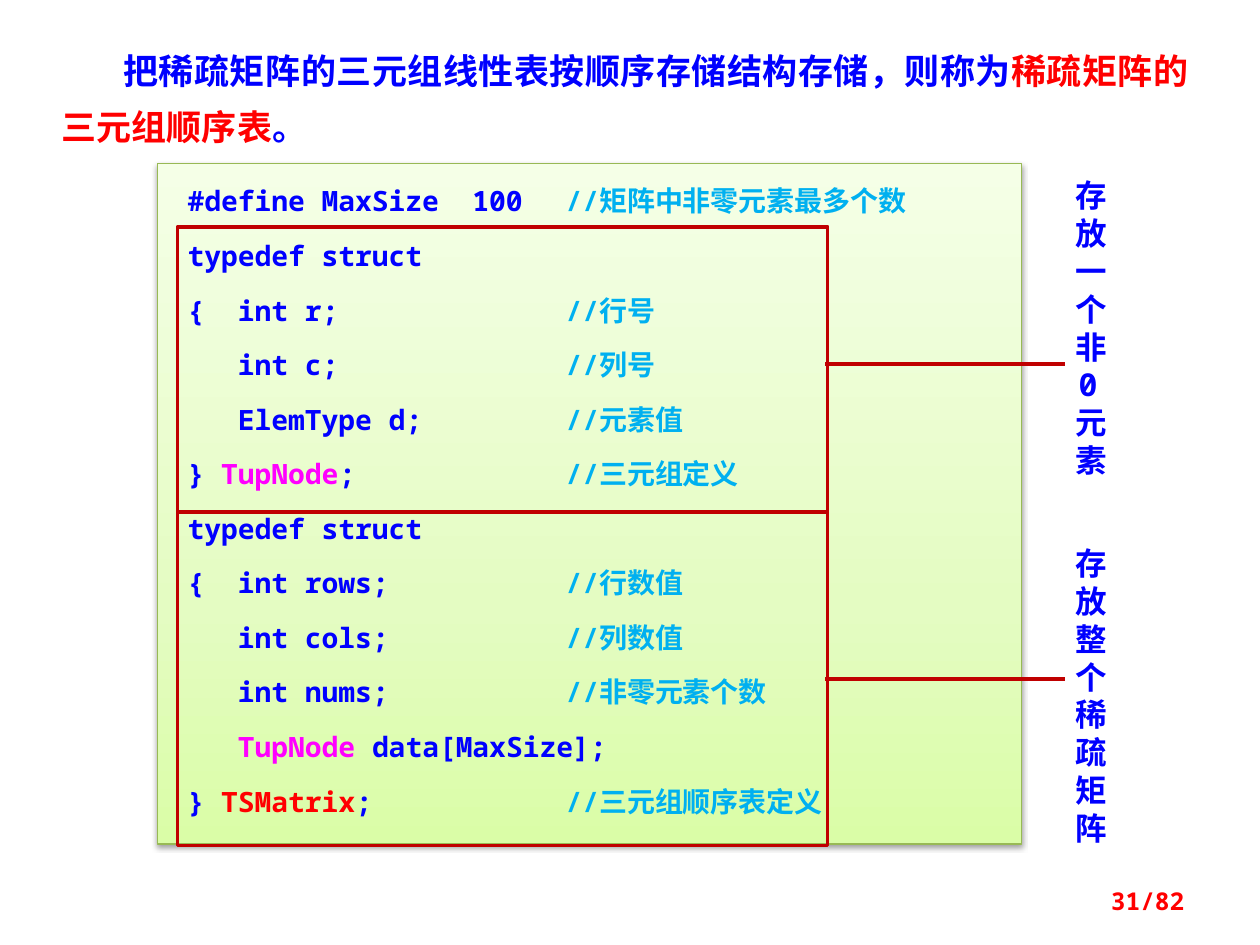
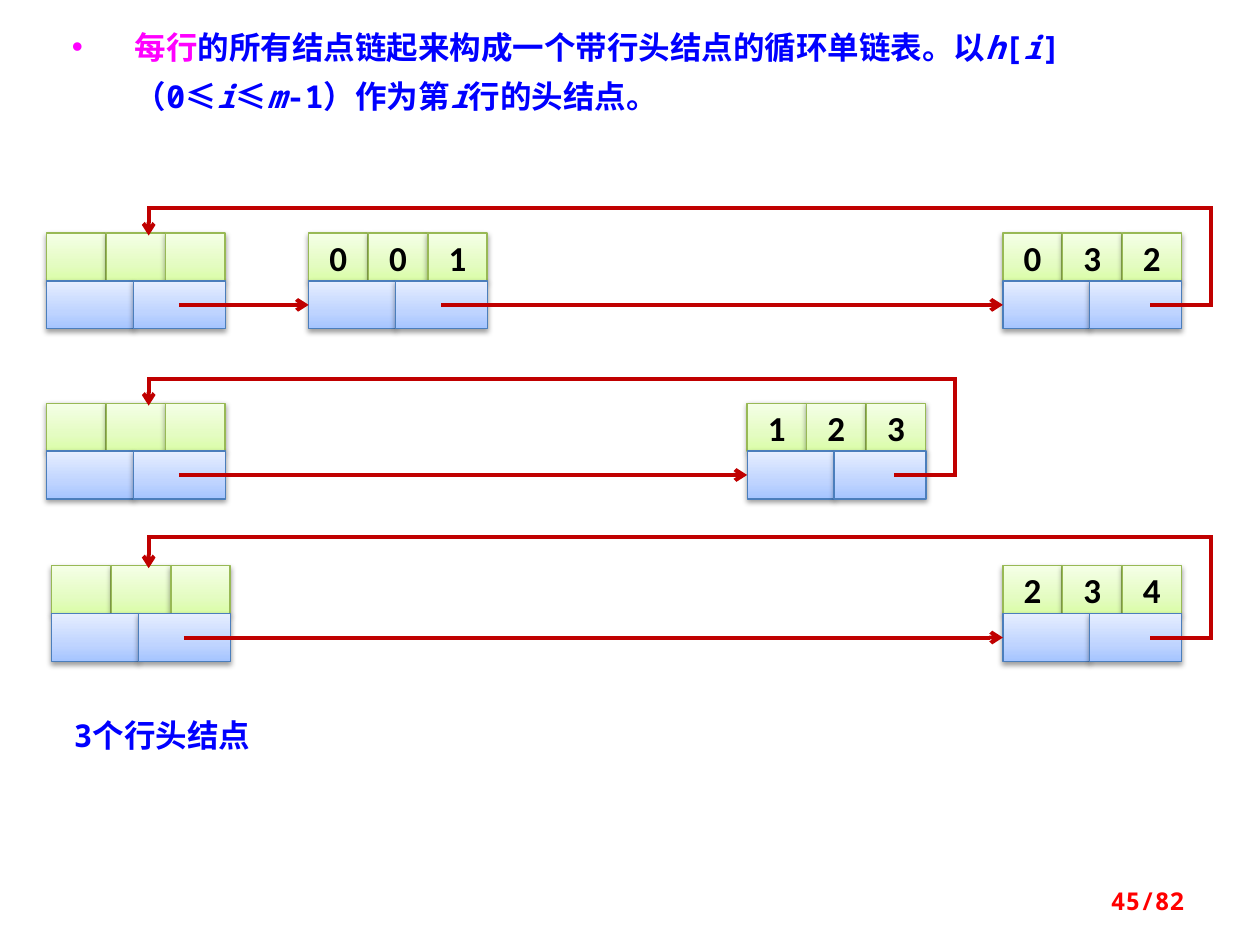
"""Build two slides on storing sparse matrices: triple table and row lists."""
import copy

import pptx
import pptx.dml.color
import pptx.enum.shapes
import pptx.enum.text
import pptx.oxml.ns
import pptx.util
from lxml import etree

Inches = pptx.util.Inches
Pt = pptx.util.Pt
RGBColor = pptx.dml.color.RGBColor
Align = pptx.enum.text.PP_ALIGN
Anchor = pptx.enum.text.MSO_ANCHOR
AutoSize = pptx.enum.text.MSO_AUTO_SIZE
RECTANGLE = pptx.enum.shapes.MSO_SHAPE.RECTANGLE
STRAIGHT = pptx.enum.shapes.MSO_CONNECTOR.STRAIGHT
qn = pptx.oxml.ns.qn

BLUE = RGBColor(0x00, 0x00, 0xFF)
RED = RGBColor(0xFF, 0x00, 0x00)
MAGENTA = RGBColor(0xFF, 0x00, 0xFF)
SKY = RGBColor(0x00, 0xB0, 0xF0)
BLACK = RGBColor(0x00, 0x00, 0x00)
CRIMSON = RGBColor(0xC0, 0x00, 0x00)
GREEN_EDGE = RGBColor(0x98, 0xB9, 0x55)
BLUE_EDGE = RGBColor(0x4B, 0x7E, 0xBC)
GREEN_STOPS = (RGBColor(0xDA, 0xFD, 0xA7), RGBColor(0xE4, 0xFC, 0xC2), RGBColor(0xF5, 0xFF, 0xE7))
BLUE_STOPS = (RGBColor(0xA4, 0xC4, 0xFF), RGBColor(0xBF, 0xD4, 0xFF), RGBColor(0xE6, 0xEE, 0xFF))
STOP_POSITIONS = (0, 0.35, 1)

MONO = "Noto Sans Mono"
SERIF = "Times New Roman"
CJK = "Noto Sans CJK SC"
CJK_RED = "Noto Sans CJK JP"

TRIPLE_WIDTH = 0.47
NODE_WIDTH = 1.42
DATA_WIDTH = 0.69
CELL_HEIGHT = 0.38
LINK_DROP = 0.57

CODE_LINES = [
    ([("#define MaxSize  100", BLUE)], "//矩阵中非零元素最多个数"),
    ([("typedef struct", BLUE)], ""),
    ([("{  int r;", BLUE)], "//行号"),
    ([("   int c;", BLUE)], "//列号"),
    ([("   ElemType d;", BLUE)], "//元素值"),
    ([("} ", BLUE), ("TupNode", MAGENTA), (";", BLUE)], "//三元组定义"),
    ([("typedef struct", BLUE)], ""),
    ([("{  int rows;", BLUE)], "//行数值"),
    ([("   int cols;", BLUE)], "//列数值"),
    ([("   int nums;", BLUE)], "//非零元素个数"),
    ([("   ", BLUE), ("TupNode ", MAGENTA), ("data[MaxSize];", BLUE)], ""),
    ([("} ", BLUE), ("TSMatrix", RED), (";", BLUE)], "//三元组顺序表定义"),
]

# top, head left, rail height, triples by left edge
ROW_LISTS = [
    (1.85, 0.37, 1.65, [(2.45, "001"), (7.96, "032")]),
    (3.2, 0.37, 3.01, [(5.93, "123")]),
    (4.49, 0.41, 4.26, [(7.96, "234")]),
]


def add_run(paragraph, text, size, color, font=MONO, italic=False, east_asian=CJK):
    """Append one bold run with Latin and East Asian fonts."""
    run = paragraph.add_run()
    run.text = text
    run.font.size = Pt(size)
    run.font.bold = True
    run.font.italic = italic
    run.font.color.rgb = color
    run.font.name = font
    properties = run.font._element
    latin = properties.find(qn("a:latin"))
    typeface = etree.Element(qn("a:ea"), typeface=east_asian)
    latin.addnext(typeface)


def add_text_box(slide, box, lines, size, color, align, anchor=Anchor.TOP):
    """Add a wrapping text box with one run per paragraph."""
    shape = slide.shapes.add_textbox(*map(Inches, box))
    frame = shape.text_frame
    frame.word_wrap = True
    frame.vertical_anchor = anchor
    for index, line in enumerate(lines):
        paragraph = frame.add_paragraph() if index else frame.paragraphs[0]
        paragraph.alignment = align
        add_run(paragraph, line, size, color)


def add_page_number(slide, number):
    """Add the red page number at the lower right."""
    add_text_box(slide, (7.17, 6.95, 2.33, 0.4), [f"{number}/82"], 14, RED,
                 Align.RIGHT, Anchor.MIDDLE)


def place_placeholder(placeholder, box):
    """Move a placeholder and return its first paragraph."""
    placeholder.left, placeholder.top, placeholder.width, placeholder.height = map(Inches, box)
    frame = placeholder.text_frame
    frame.auto_size = AutoSize.NONE
    frame.vertical_anchor = Anchor.TOP
    frame.word_wrap = True
    paragraph = frame.paragraphs[0]
    paragraph.space_before = Pt(0)
    return paragraph


def add_panel(slide, box, colors, edge):
    """Add a rectangle with an upward gradient and a soft shadow."""
    shape = slide.shapes.add_shape(RECTANGLE, *map(Inches, box))
    shape.fill.gradient()
    shape.fill.gradient_angle = 90
    stop_list = shape._element.spPr.find(".//" + qn("a:gsLst"))
    stop_list.insert(1, copy.deepcopy(stop_list[0]))
    for stop, color, position in zip(shape.fill.gradient_stops, colors, STOP_POSITIONS):
        stop.color.rgb = color
        stop.position = position
    shape.line.color.rgb = edge
    shape.line.width = Pt(0.75)
    shape.shadow.inherit = False
    effects = shape._element.spPr.find(qn("a:effectLst"))
    shadow = etree.SubElement(effects, qn("a:outerShdw"), blurRad=str(Pt(3.1)),
                              dist=str(Pt(1.6)), dir="5400000", rotWithShape="0")
    shade = etree.SubElement(shadow, qn("a:srgbClr"), val="000000")
    etree.SubElement(shade, qn("a:alpha"), val="38000")
    return shape


def add_line(slide, start, end, arrow=False):
    """Add a crimson straight line, optionally with an arrowhead at its end."""
    line = slide.shapes.add_connector(STRAIGHT, *map(Inches, (*start, *end)))
    line.line.color.rgb = CRIMSON
    line.line.width = Pt(2.25)
    properties = line._element.spPr
    outline = properties.find(qn("a:ln"))
    if arrow:
        etree.SubElement(outline, qn("a:tailEnd"), type="arrow")
    else:
        outline.set("cap", "sq")
    etree.SubElement(properties, qn("a:effectLst"))


def add_code_panel(slide):
    """Add the type definitions with comments aligned on a tab stop."""
    panel = add_panel(slide, (1.25, 1.3, 6.86, 5.4), GREEN_STOPS, GREEN_EDGE)
    frame = panel.text_frame
    frame.vertical_anchor = Anchor.TOP
    frame.margin_left = Inches(0.24)
    frame.margin_top = frame.margin_bottom = Inches(0.16)
    for index, (code, comment) in enumerate(CODE_LINES):
        paragraph = frame.add_paragraph() if index else frame.paragraphs[0]
        paragraph.alignment = Align.LEFT
        paragraph.space_before = Pt(12 if index else 0)
        tabs = etree.SubElement(paragraph._p.get_or_add_pPr(), qn("a:tabLst"))
        etree.SubElement(tabs, qn("a:tab"), pos=str(Inches(3)), algn="l")
        for text, color in code:
            add_run(paragraph, text, 16, color)
        if comment:
            add_run(paragraph, "\t" + comment, 16, SKY)


def add_code_callout(slide, top, height, line_y, label_top, label):
    """Frame a part of the code and join it to its vertical label."""
    frame = slide.shapes.add_shape(RECTANGLE, *map(Inches, (1.41, top, 5.16, height)))
    frame.fill.background()
    frame.line.color.rgb = CRIMSON
    frame.line.width = Pt(2)
    frame.shadow.inherit = False
    add_line(slide, (6.56, line_y), (8.44, line_y))
    add_text_box(slide, (8.44, label_top, 0.39, 2.52), label, 18, BLUE, Align.CENTER)


def add_node(slide, left, top, triple="   "):
    """Add a list node: three triple cells above two pointer cells."""
    for index, value in enumerate(triple):
        cell = add_panel(slide, (left + index * NODE_WIDTH / 3, top, TRIPLE_WIDTH, CELL_HEIGHT),
                         GREEN_STOPS, GREEN_EDGE)
        if value.strip():
            frame = cell.text_frame
            frame.word_wrap = False
            frame.vertical_anchor = Anchor.MIDDLE
            frame.paragraphs[0].alignment = Align.CENTER
            add_run(frame.paragraphs[0], value, 20, BLACK, "Calibri")
    for offset, width in ((0, DATA_WIDTH), (DATA_WIDTH, NODE_WIDTH - DATA_WIDTH)):
        add_panel(slide, (left + offset, top + CELL_HEIGHT, width, CELL_HEIGHT),
                  BLUE_STOPS, BLUE_EDGE)


def add_row_list(slide, top, head_left, rail_y, nodes):
    """Add a circular list: head node, data nodes, links and return path."""
    add_node(slide, head_left, top)
    for left, triple in nodes:
        add_node(slide, left, top, triple)
    lefts = [head_left] + [left for left, _ in nodes]
    link_y = top + LINK_DROP
    for left, following in zip(lefts, lefts[1:]):
        add_line(slide, (left + 1.05, link_y), (following, link_y), arrow=True)
    turn_x = lefts[-1] + 1.65
    corners = [(lefts[-1] + 1.18, link_y), (turn_x, link_y), (turn_x, rail_y),
               (1.18, rail_y), (1.18, top + 0.02)]
    for start, end in zip(corners, corners[1:]):
        add_line(slide, start, end, arrow=end == corners[-1])


def build_triple_table_slide(presentation):
    """Build the slide that defines the sequential triple table."""
    slide = presentation.slides.add_slide(presentation.slide_layouts[5])
    paragraph = place_placeholder(slide.shapes.title, (0.39, 0.23, 9.14, 1))
    paragraph.alignment = Align.JUSTIFY
    paragraph.line_spacing = Pt(32)
    paragraph._p.get_or_add_pPr().set("indent", str(Inches(0.49)))
    add_run(paragraph, "把稀疏矩阵的三元组线性表按顺序存储结构存储，则称为", 20, BLUE, SERIF)
    add_run(paragraph, "稀疏矩阵的三元组顺序表", 20, RED, CJK_RED, east_asian=CJK_RED)
    add_run(paragraph, "。", 20, BLUE, SERIF)
    add_code_panel(slide)
    add_code_callout(slide, 1.8, 2.27, 2.89, 1.35, ["存放一个非", "0", "元素"])
    add_code_callout(slide, 4.06, 2.65, 5.39, 4.27, ["存放整个", "稀疏矩阵"])
    add_page_number(slide, 31)


def build_row_lists_slide(presentation):
    """Build the slide that shows one circular list per matrix row."""
    slide = presentation.slides.add_slide(presentation.slide_layouts[1])
    title = slide.shapes.title._element
    title.getparent().remove(title)
    paragraph = place_placeholder(slide.placeholders[1], (0.47, 0.08, 9, 0.89))
    paragraph.line_spacing = 1.3
    properties = paragraph._p.get_or_add_pPr()
    properties.set("marL", str(Inches(0.5)))
    properties.set("indent", str(Inches(-0.5)))
    etree.SubElement(properties, qn("a:buChar"), char="•")
    add_run(paragraph, "每行", 18, MAGENTA)
    for text in ("的所有结点链起来构成一个带行头结点的循环单链表。以", "h", "[", "i", "]（0",
                 "≤", "i", "≤", "m", "-1）作为第", "i", "行的头结点。"):
        add_run(paragraph, text, 18, BLUE, CJK if text == "≤" else MONO, text in "him")
    for row_list in ROW_LISTS:
        add_row_list(slide, *row_list)
    add_text_box(slide, (0.23, 5.63, 2.11, 0.4), ["3个行头结点"], 18, BLUE, Align.CENTER)
    add_page_number(slide, 45)


def main():
    """Create the presentation and save it."""
    presentation = pptx.Presentation()
    presentation.slide_width = Inches(10)
    presentation.slide_height = Inches(7.5)
    build_triple_table_slide(presentation)
    build_row_lists_slide(presentation)
    presentation.save("out.pptx")


if __name__ == "__main__":
    main()
